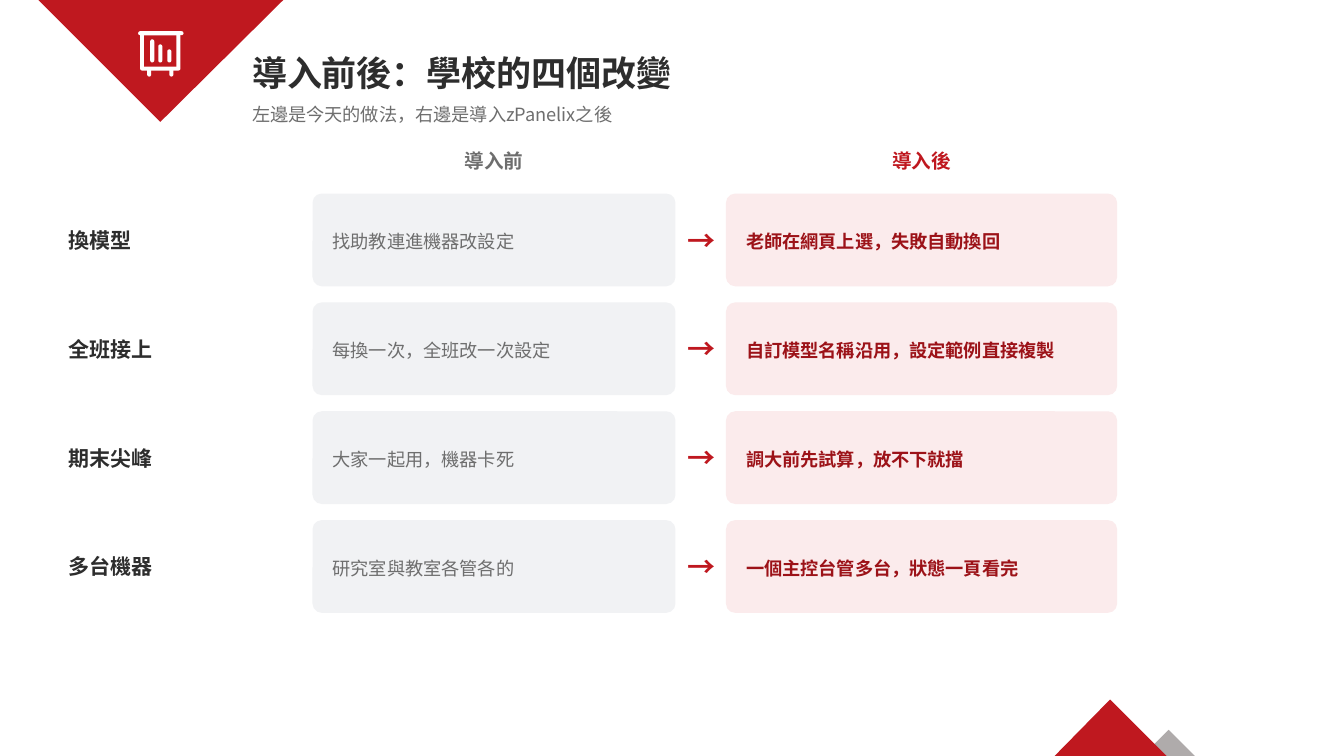
from dataclasses import dataclass

from lxml import etree
from pptx import Presentation
from pptx.dml.color import RGBColor
from pptx.enum import shapes, text
from pptx.oxml import ns
from pptx.util import Inches, Pt


@dataclass(frozen=True)
class Theme:
    font: str = "Noto Sans CJK TC"
    red: str = "BF181F"
    dark_red: str = "9C1218"
    pink: str = "FBEBEC"
    ink: str = "2D2D2D"
    muted: str = "6E6E6E"
    pale: str = "F1F2F4"
    gray: str = "AFABAB"
    white: str = "FFFFFF"
    title: int = 25
    arrow: int = 20
    label: int = 15
    heading: int = 14
    body: int = 13


THEME = Theme()
LABEL_X, LABEL_W = 0.68, 2.3
BEFORE_X, BEFORE_W = 3.1, 3.6
ARROW_X, ARROW_W = 6.76, 0.4
AFTER_X, AFTER_W = 7.2, 3.88
ROW_TOP, ROW_STEP, ROW_H = 1.92, 1.08, 0.92
PADDING = 0.2

CHANGES = [
    ("換模型", "找助教連進機器改設定", "老師在網頁上選，失敗自動換回"),
    ("全班接上", "每換一次，全班改一次設定", "自訂模型名稱沿用，設定範例直接複製"),
    ("期末尖峰", "大家一起用，機器卡死", "調大前先試算，放不下就擋"),
    ("多台機器", "研究室與教室各管各的", "一個主控台管多台，狀態一頁看完"),
]


def paint(sp, color):
    sp.shadow.inherit = False
    sp.fill.solid()
    sp.fill.fore_color.rgb = RGBColor.from_string(color)
    sp.line.fill.background()


def add_triangle(s, points, color):
    start, *rest = [(Inches(x), Inches(y)) for x, y in points]
    builder = s.shapes.build_freeform(*start)
    builder.add_line_segments(rest, close=True)
    paint(builder.convert_to_shape(), color)


def add_rounded(s, box, color, radius):
    sp = s.shapes.add_shape(
        shapes.MSO_SHAPE.ROUNDED_RECTANGLE, *map(Inches, box))
    sp.adjustments[0] = radius
    paint(sp, color)


def write(sp, words, size, color, bold=False, align=text.PP_ALIGN.LEFT,
          anchor=text.MSO_ANCHOR.MIDDLE, spacing=None):
    tf = sp.text_frame
    tf.word_wrap = True
    tf.auto_size = text.MSO_AUTO_SIZE.NONE
    tf.vertical_anchor = anchor
    tf.margin_left = tf.margin_right = tf.margin_top = tf.margin_bottom = 0
    p = tf.paragraphs[0]
    p.text = words
    p.alignment = align
    p.line_spacing = spacing
    p.font.name = THEME.font
    p.font.size = Pt(size)
    p.font.bold = bold
    p.font.color.rgb = RGBColor.from_string(color)
    latin = p.font._element.find(ns.qn("a:latin"))
    ea = etree.Element(ns.qn("a:ea"), typeface=THEME.font)
    latin.addnext(ea)


def add_text(s, box, words, size, color, **style):
    write(s.shapes.add_textbox(*map(Inches, box)), words, size, color, **style)


def add_title(s, box, words):
    sp = s.shapes.title
    sp.left, sp.top, sp.width, sp.height = map(Inches, box)
    write(sp, words, THEME.title, THEME.ink, bold=True)


def add_board_icon(s):
    add_rounded(s, (1.39, 0.31, 0.4, 0.39), THEME.white, 0.05)
    add_rounded(s, (1.37, 0.31, 0.45, 0.04), THEME.white, 0.5)
    add_rounded(s, (1.43, 0.35, 0.32, 0.31), THEME.red, 0)
    for x, top in ((1.49, 0.39), (1.57, 0.44), (1.66, 0.49)):
        add_rounded(s, (x, top, 0.04, 0.62 - top), THEME.white, 0.5)
    for x in (1.46, 1.68):
        add_rounded(s, (x, 0.68, 0.04, 0.08), THEME.white, 0.5)


def add_decoration(s):
    add_triangle(s, [(11.59, 7.24), (11.85, 7.5), (11.33, 7.5)], THEME.gray)
    add_triangle(s, [(0.38, 0), (2.81, 0), (1.59, 1.21)], THEME.red)
    add_triangle(s, [(11.01, 6.94), (11.57, 7.5), (10.46, 7.5)], THEME.red)
    add_board_icon(s)


def add_heading(s, x, width, words, color):
    add_text(s, (x, 1.48, width, 0.36), words, THEME.heading, color, bold=True,
             align=text.PP_ALIGN.CENTER, anchor=text.MSO_ANCHOR.TOP)


def add_card(s, x, y, width, words, fill, color, bold):
    add_rounded(s, (x, y, width, ROW_H), fill, 0.1)
    add_text(s, (x + PADDING, y, width - 2 * PADDING, ROW_H), words,
             THEME.body, color, bold=bold, spacing=1.15)


def add_change(s, y, label, before, after):
    add_text(s, (LABEL_X, y, LABEL_W, ROW_H), label, THEME.label, THEME.ink,
             bold=True)
    add_card(s, BEFORE_X, y, BEFORE_W, before, THEME.pale, THEME.muted, False)
    add_text(s, (ARROW_X, y, ARROW_W, ROW_H), "→", THEME.arrow, THEME.red,
             bold=True, align=text.PP_ALIGN.CENTER)
    add_card(s, AFTER_X, y, AFTER_W, after, THEME.pink, THEME.dark_red, True)


def main():
    prs = Presentation()
    prs.slide_width, prs.slide_height = Inches(13.33), Inches(7.5)
    s = prs.slides.add_slide(prs.slide_layouts.get_by_name("Title Only"))
    add_decoration(s)
    add_title(s, (2.5, 0.42, 10.2, 0.6), "導入前後：學校的四個改變")
    add_text(s, (2.5, 1.02, 10.2, 0.32), "左邊是今天的做法，右邊是導入zPanelix之後",
             THEME.body, THEME.muted, anchor=text.MSO_ANCHOR.TOP)
    add_heading(s, BEFORE_X, BEFORE_W, "導入前", THEME.muted)
    add_heading(s, AFTER_X, AFTER_W, "導入後", THEME.red)
    for i, change in enumerate(CHANGES):
        add_change(s, ROW_TOP + i * ROW_STEP, *change)
    prs.save("out.pptx")


if __name__ == "__main__":
    main()
